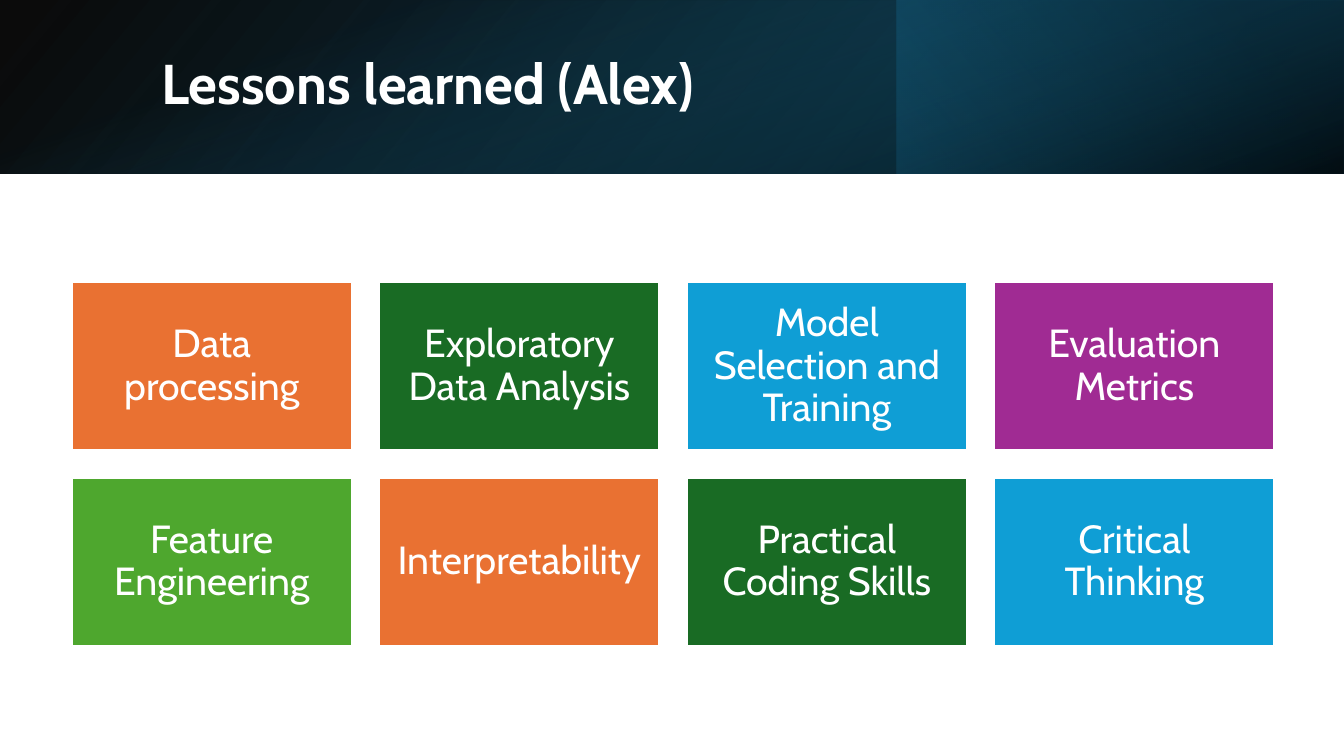
from lxml import etree
from pptx import Presentation
from pptx import util as u
from pptx.dml.color import RGBColor
from pptx.enum import shapes, text
from pptx.oxml.ns import qn

COLORS = {
    "white": "FFFFFF", "black": "000000", "navy": "104862", "deep": "0B3041",
    "teal": "156082", "orange": "E97132", "forest": "196B24",
    "blue": "0F9ED5", "purple": "A02B93", "green": "4EA72E",
}
LESSONS = [
    ("Data processing", "orange"), ("Exploratory Data Analysis", "forest"),
    ("Model Selection and Training", "blue"), ("Evaluation Metrics", "purple"),
    ("Feature Engineering", "green"), ("Interpretability", "orange"),
    ("Practical Coding Skills", "forest"), ("Critical Thinking", "blue"),
]


class Deck:
    """Holds the style and the current slide."""

    font = "Cabin"

    def __init__(self, width, height):
        self.prs = Presentation()
        self.prs.slide_width, self.prs.slide_height = u.Inches(width), u.Inches(height)
        self.slide = self.prs.slides.add_slide(self.prs.slide_layouts[5])

    def rgb(self, name):
        return RGBColor.from_string(COLORS[name])

    def rect(self, *box):
        sp = self.slide.shapes.add_shape(
            shapes.MSO_SHAPE.RECTANGLE, *(u.Inches(v) for v in box))
        sp.shadow.inherit = False
        return sp

    def band(self, box, stops, angle, rotation=0, flip=False):
        sp = self.rect(*box)
        sp.rotation = rotation
        sp.line.fill.background()
        sp.fill.background()
        spPr = sp._element.spPr
        if flip:
            spPr.find(qn("a:xfrm")).set("flipH", "1")
        grad = etree.Element(qn("a:gradFill"), rotWithShape="1")
        gs_list = etree.SubElement(grad, qn("a:gsLst"))
        for pos, color, alpha in stops:
            gs = etree.SubElement(gs_list, qn("a:gs"), pos=str(pos * 1000))
            clr = etree.SubElement(gs, qn("a:srgbClr"), val=COLORS[color])
            etree.SubElement(clr, qn("a:alpha"), val=str(alpha * 1000))
        etree.SubElement(grad, qn("a:lin"), ang=str(angle * 60000), scaled="0")
        spPr.replace(spPr.find(qn("a:noFill")), grad)

    def set_text(self, tf, words, size, align, bold=False):
        tf.word_wrap = True
        tf.auto_size = text.MSO_AUTO_SIZE.NONE
        tf.vertical_anchor = text.MSO_ANCHOR.MIDDLE
        p = tf.paragraphs[0]
        p.alignment, p.line_spacing = align, 0.9
        r = p.add_run()
        r.text = words
        r.font.name, r.font.size, r.font.bold = self.font, u.Pt(size), bold
        r.font.color.rgb = self.rgb("white")

    def title(self, words, *box):
        sp = self.slide.shapes.title
        sp.left, sp.top, sp.width, sp.height = (u.Inches(v) for v in box)
        self.set_text(sp.text_frame, words, 40, text.PP_ALIGN.LEFT, bold=True)
        self.slide.shapes._spTree.append(sp._element)

    def tile(self, words, color, *box):
        sp = self.rect(*box)
        sp.fill.solid()
        sp.fill.fore_color.rgb = self.rgb(color)
        sp.line.color.rgb = self.rgb("white")
        sp.line.width = u.Pt(1.5)
        tf = sp.text_frame
        tf.margin_left = tf.margin_right = u.Inches(0.12)
        tf.margin_top = tf.margin_bottom = u.Inches(0.12)
        self.set_text(tf, words, 28, text.PP_ALIGN.CENTER)


def main():
    deck = Deck(13.33, 7.5)
    deck.band((0, 0, 13.33, 1.72), [(0, "black", 96), (100, "navy", 100)], 140, flip=True)
    deck.band((8.89, 0, 4.44, 1.72), [(19, "deep", 68), (100, "teal", 79)], 320, rotation=180)
    deck.band((5.8, -5.8, 1.72, 13.33), [(23, "teal", 0), (99, "black", 74)], 340, rotation=90)
    deck.title("Lessons learned (Alex)", 1.5, 0.38, 10.98, 0.96)
    for i, (words, color) in enumerate(LESSONS):
        row, col = divmod(i, 4)
        deck.tile(words, color, 0.71 + col * 3.05, 2.8 + row * 1.94, 2.78, 1.67)
    deck.prs.save("out.pptx")


if __name__ == "__main__":
    main()
